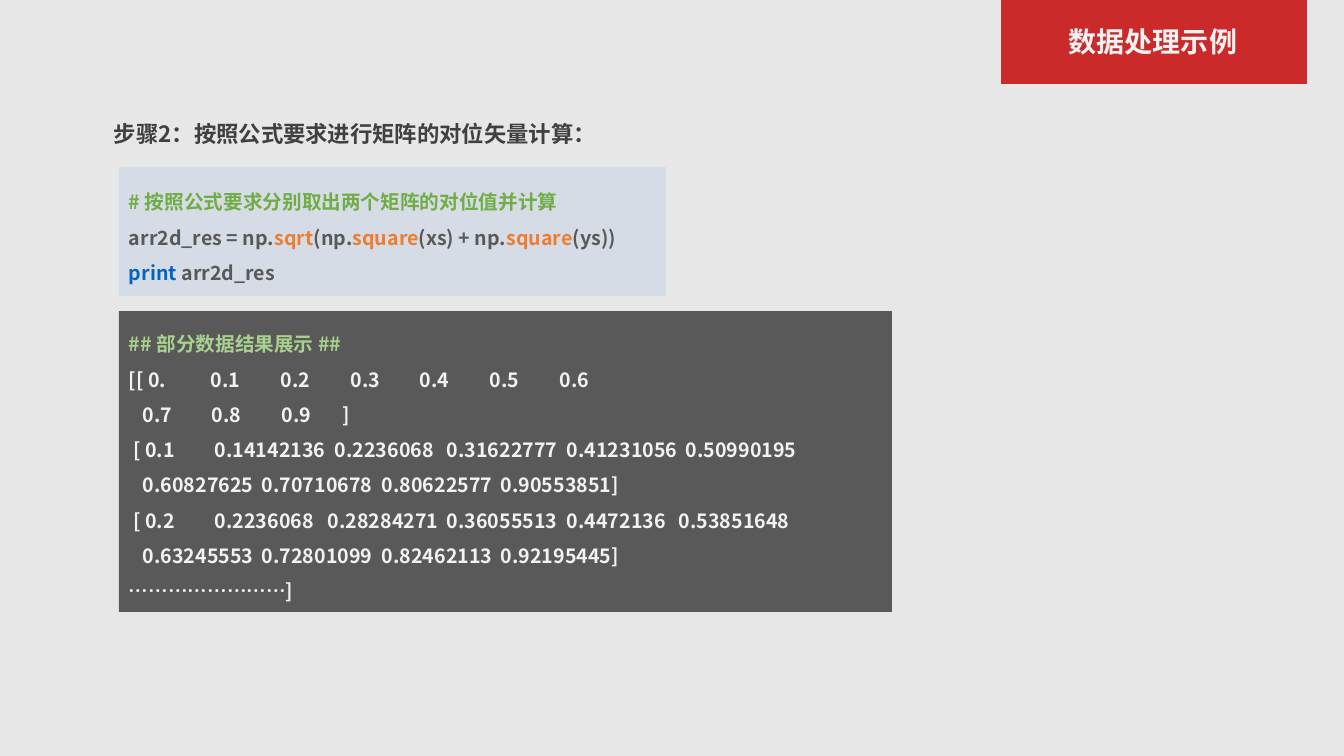
from lxml import etree
from pptx import Presentation
from pptx.dml.color import RGBColor
from pptx.enum.shapes import MSO_SHAPE
from pptx.enum.text import MSO_ANCHOR, MSO_AUTO_SIZE, PP_ALIGN
from pptx.oxml.ns import qn
from pptx.util import Emu, Pt

RECTANGLE = MSO_SHAPE.RECTANGLE
MIDDLE = MSO_ANCHOR.MIDDLE
CENTER, LEFT = PP_ALIGN.CENTER, PP_ALIGN.LEFT
NO_AUTOFIT, FIT_SHAPE = MSO_AUTO_SIZE.NONE, MSO_AUTO_SIZE.SHAPE_TO_FIT_TEXT
FONT = "Noto Sans CJK SC"
SLIDE_WIDTH, SLIDE_HEIGHT = 1344, 756
EMU_PER_PX = 12192000 / SLIDE_WIDTH

BACKGROUND, RED, PALE_BLUE, GRAY = "E7E7E7", "CA2A2A", "D6DCE5", "595959"
DARK, WHITE, GREEN, LIGHT_GREEN = "404040", "F2F2F2", "70AD47", "A9D18E"
ORANGE, BLUE = "ED7D31", "0563C1"

CODE = [
    [("# 按照公式要求分别取出两个矩阵的对位值并计算", GREEN)],
    [("arr2d_res = np.", GRAY), ("sqrt", ORANGE), ("(np.", GRAY), ("square", ORANGE),
     ("(xs) + np.", GRAY), ("square", ORANGE), ("(ys))", GRAY)],
    [("print", BLUE), (" arr2d_res", GRAY)],
]

# Tab stops in px from the left edge of the text.
SHORT_FIRST = [82, 152, 222, 291, 361, 431]
SHORT_NEXT = [14, 83, 153, 214]
LONG_FIRST = [86, 206, 318, 438, 557]
LONG_SECOND = [86, 199, 318, 438, 550]
LONG_NEXT = [14, 133, 253, 372]
RESULT_ROWS = [
    (["[[ 0.", "0.1", "0.2", "0.3", "0.4", "0.5", "0.6"], SHORT_FIRST),
    (["", "0.7", "0.8", "0.9", "]"], SHORT_NEXT),
    ([" [ 0.1", "0.14142136", "0.2236068", "0.31622777", "0.41231056", "0.50990195"],
     LONG_FIRST),
    (["", "0.60827625", "0.70710678", "0.80622577", "0.90553851]"], LONG_NEXT),
    ([" [ 0.2", "0.2236068", "0.28284271", "0.36055513", "0.4472136", "0.53851648"],
     LONG_SECOND),
    (["", "0.63245553", "0.72801099", "0.82462113", "0.92195445]"], LONG_NEXT),
    (["……………………]"], []),
]


def px(length):
    return Emu(round(length * EMU_PER_PX))


def color(hex_value):
    return RGBColor.from_string(hex_value)


def format_run(run, size, hex_value):
    run.font.size = Pt(size)
    run.font.bold = True
    run.font.name = FONT
    run.font.color.rgb = color(hex_value)
    east_asian = etree.SubElement(run._r.get_or_add_rPr(), qn("a:ea"))
    east_asian.set("typeface", FONT)


def set_tabs(paragraph, stops):
    tab_list = etree.SubElement(paragraph._p.get_or_add_pPr(), qn("a:tabLst"))
    for stop in stops:
        etree.SubElement(tab_list, qn("a:tab"), pos=str(px(stop)), algn="l")


def add_panel(slide, box, fill):
    panel = slide.shapes.add_shape(RECTANGLE, *map(px, box))
    panel.shadow.inherit = False
    panel.fill.solid()
    panel.fill.fore_color.rgb = color(fill)
    panel.line.fill.background()
    return panel


def add_code_panel(slide, box, fill, lines):
    """Draw a filled panel whose lines are lists of (text, colour) runs."""
    text_frame = add_panel(slide, box, fill).text_frame
    text_frame.word_wrap = True
    text_frame.vertical_anchor = MIDDLE
    for index, line in enumerate(lines):
        paragraph = text_frame.add_paragraph() if index else text_frame.paragraphs[0]
        paragraph.alignment = LEFT
        paragraph.line_spacing = 1.5
        for text, hex_value in line:
            run = paragraph.add_run()
            run.text = text
            format_run(run, 14, hex_value)
    return text_frame


def add_result_panel(slide, box):
    lines = [[("## 部分数据结果展示 ##", LIGHT_GREEN)]]
    lines += [[("\t".join(cells), WHITE)] for cells, _ in RESULT_ROWS]
    text_frame = add_code_panel(slide, box, GRAY, lines)
    for paragraph, (_, stops) in zip(text_frame.paragraphs[1:], RESULT_ROWS):
        if stops:
            set_tabs(paragraph, stops)


def add_title_banner(slide, box):
    left, top, width, height = box
    add_panel(slide, box, RED)
    title = slide.shapes.title
    title.left, title.top = px(left + 1), px(top + 22)
    title.width, title.height = px(width - 4), px(height - 42)
    title._element.getparent().append(title._element)
    text_frame = title.text_frame
    text_frame.text = "数据处理示例"
    text_frame.auto_size = NO_AUTOFIT
    text_frame.vertical_anchor = MIDDLE
    paragraph = text_frame.paragraphs[0]
    paragraph.alignment = CENTER
    paragraph.line_spacing = 0.9
    format_run(paragraph.runs[0], 20, WHITE)


def add_step_heading(slide, box):
    text_frame = slide.shapes.add_textbox(*map(px, box)).text_frame
    text_frame.word_wrap = False
    text_frame.auto_size = FIT_SHAPE
    text_frame.text = "步骤2：按照公式要求进行矩阵的对位矢量计算："
    format_run(text_frame.paragraphs[0].runs[0], 16, DARK)


def main():
    presentation = Presentation()
    presentation.slide_width, presentation.slide_height = px(SLIDE_WIDTH), px(SLIDE_HEIGHT)
    slide = presentation.slides.add_slide(presentation.slide_layouts.get_by_name("Title Only"))
    slide.background.fill.solid()
    slide.background.fill.fore_color.rgb = color(BACKGROUND)
    add_title_banner(slide, (1001, 0, 306, 84))
    add_step_heading(slide, (104, 115, 509, 37))
    add_code_panel(slide, (119, 167, 547, 129), PALE_BLUE, CODE)
    add_result_panel(slide, (119, 311, 773, 301))
    presentation.save("out.pptx")


if __name__ == "__main__":
    main()
